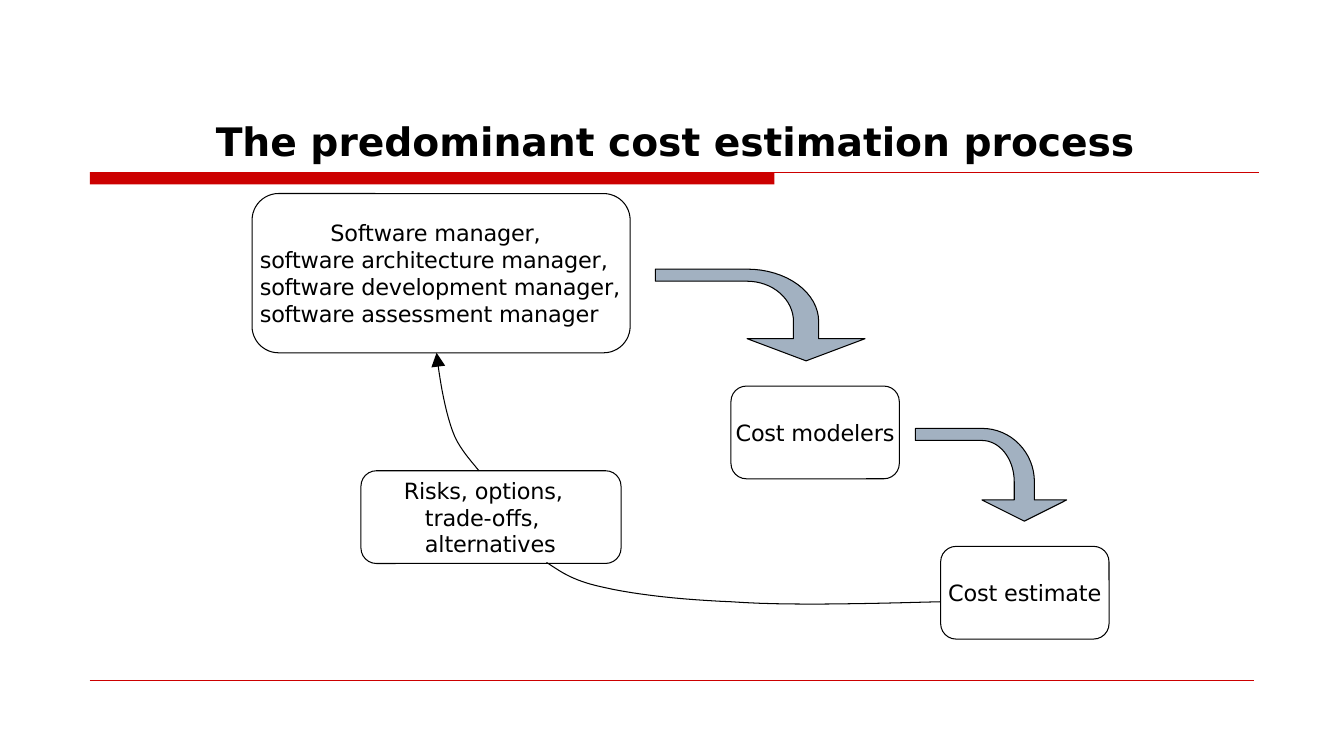
from math import cos, pi, sin

from pptx import Presentation
from pptx.dml.color import RGBColor
from pptx.enum.shapes import MSO_CONNECTOR as Connector, MSO_SHAPE as Shape
from pptx.enum.text import MSO_ANCHOR as Anchor, PP_ALIGN as Align
from pptx.oxml.xmlchemy import OxmlElement
from pptx.util import Inches, Pt

BLACK = RGBColor(0x00, 0x00, 0x00)
RED = RGBColor(0xCC, 0x00, 0x00)
STEEL = RGBColor(0xA2, 0xB1, 0xC1)
FONT = "DejaVu Sans"

TITLE = "The predominant cost estimation process"
MANAGERS = ("Software manager,\vsoftware architecture manager,\v"
            "software development manager,\vsoftware assessment manager")
RISKS = "Risks, options,\vtrade-offs,\valternatives"

BOXES = [
    (MANAGERS, (2.5, 1.92, 3.75, 1.58), dict(first_line=0.7)),
    ("Cost modelers", (7.25, 3.83, 1.67, 0.92), dict(align=Align.CENTER, wrap=False)),
    ("Cost estimate", (9.33, 5.42, 1.67, 0.92), dict(align=Align.CENTER, wrap=False)),
    (RISKS, (3.58, 4.67, 2.58, 0.92), dict(margin=0.59, first_line=-0.21)),
]
BENT_ARROWS = [
    dict(left=6.5, top=2.67, right=8.58, bottom=3.58, bend=(7.41, 3.19),
         outer=0.71, inner=0.46, thickness=0.12, head_top=3.36),
    dict(left=9.08, top=4.25, right=10.58, bottom=5.17, bend=(9.74, 4.78),
         outer=0.52, inner=0.32, thickness=0.12, head_top=4.96),
]
ESTIMATE_TO_RISKS = [
    [(9.33, 5.97), (8.55, 5.99), (7.8, 6.01), (7.25, 5.97)],
    [(7.25, 5.97), (6.76, 5.95), (6.31, 5.9), (6, 5.83)],
    [(6, 5.83), (5.66, 5.76), (5.55, 5.66), (5.42, 5.58)],
]
RISKS_TO_MANAGERS = [
    [(4.75, 4.67), (4.66, 4.56), (4.57, 4.46), (4.51, 4.33)],
    [(4.51, 4.33), (4.42, 4.12), (4.36, 3.77), (4.33, 3.5)],
]
RULES = [(0.89, 12.49, 1.71, 0.75), (0.89, 12.44, 6.75, 0.25)]
CORNER_RADIUS = 1 / 6

presentation = Presentation()
presentation.slide_width, presentation.slide_height = Inches(13.33), Inches(7.5)
slide = presentation.slides.add_slide(presentation.slide_layouts[5])


def write_text(shape, text, size=16, bold=False, align=Align.LEFT, anchor=Anchor.MIDDLE,
               margin=0, first_line=0, spacing=-0.1, wrap=True):
    frame = shape.text_frame
    frame.margin_left = frame.margin_right = frame.margin_top = frame.margin_bottom = 0
    frame.word_wrap = wrap
    frame.vertical_anchor = anchor
    frame.text = text
    paragraph = frame.paragraphs[0]
    paragraph.alignment = align
    properties = paragraph._p.get_or_add_pPr()
    properties.set("marL", str(Inches(margin)))
    properties.set("indent", str(Inches(first_line)))
    for run in paragraph.runs:
        run.font.name, run.font.size, run.font.bold = FONT, Pt(size), bold
        run.font.color.rgb = BLACK
        run.font._element.set("spc", str(round(spacing * 100)))


def style(shape, fill=None, line=BLACK):
    shape.shadow.inherit = False
    if fill is None:
        shape.fill.background()
    else:
        shape.fill.solid()
        shape.fill.fore_color.rgb = fill
    if line is None:
        shape.line.fill.background()
    else:
        shape.line.color.rgb = line
        shape.line.width = Pt(0.75)


def add_outline(points, close, fill=None):
    points = [(Inches(x), Inches(y)) for x, y in points]
    builder = slide.shapes.build_freeform(*points[0])
    builder.add_line_segments(points[1:], close=close)
    shape = builder.convert_to_shape()
    style(shape, fill)
    return shape


def quarter_turn(center, radius_x, radius_y, steps=16):
    angles = [pi / 2 * step / steps for step in range(steps + 1)]
    return [(center[0] + radius_x * sin(a), center[1] - radius_y * cos(a)) for a in angles]


def add_bent_arrow(left, top, right, bottom, bend, outer, inner, thickness, head_top):
    bend_x, bend_y = bend
    rise = bend_y - top
    add_outline(
        [(left, top), *quarter_turn(bend, outer, rise),
         (bend_x + outer, head_top), (right, head_top),
         ((bend_x + right) / 2, bottom), (bend_x, head_top), (bend_x + inner, head_top),
         *reversed(quarter_turn(bend, inner, rise - thickness)),
         (left, top + thickness)],
        close=True, fill=STEEL)


def curve_points(segments, steps=12):
    points = [segments[0][0]]
    for segment in segments:
        for step in range(1, steps + 1):
            t = step / steps
            weights = ((1 - t) ** 3, 3 * t * (1 - t) ** 2, 3 * t * t * (1 - t), t ** 3)
            points.append(tuple(sum(w * point[axis] for w, point in zip(weights, segment))
                                for axis in (0, 1)))
    return points


title = slide.shapes.title
title.left, title.top, title.width, title.height = map(Inches, (0.92, 0.53, 11.35, 1.1))
write_text(title, TITLE, size=28, bold=True, anchor=Anchor.BOTTOM, margin=1.22, spacing=0)

title_bar = slide.shapes.add_shape(Shape.RECTANGLE, *map(Inches, (0.89, 1.71, 6.79, 0.12)))
style(title_bar, RED, None)
for left, right, top, width in RULES:
    rule = slide.shapes.add_connector(
        Connector.STRAIGHT, Inches(left), Inches(top), Inches(right), Inches(top))
    rule.line.color.rgb = RED
    rule.line.width = Pt(width)
    rule._element.spPr.append(OxmlElement("a:effectLst"))

for text, place, text_format in BOXES:
    box = slide.shapes.add_shape(Shape.ROUNDED_RECTANGLE, *map(Inches, place))
    box.adjustments[0] = CORNER_RADIUS
    style(box)
    write_text(box, text, **text_format)

for bent_arrow in BENT_ARROWS:
    add_bent_arrow(**bent_arrow)

add_outline(curve_points(ESTIMATE_TO_RISKS), close=False)
feedback = add_outline(curve_points(RISKS_TO_MANAGERS), close=False)
arrowhead = OxmlElement("a:tailEnd")
for name, value in (("type", "triangle"), ("w", "lg"), ("len", "lg")):
    arrowhead.set(name, value)
feedback.line._get_or_add_ln().append(arrowhead)

presentation.save("out.pptx")
